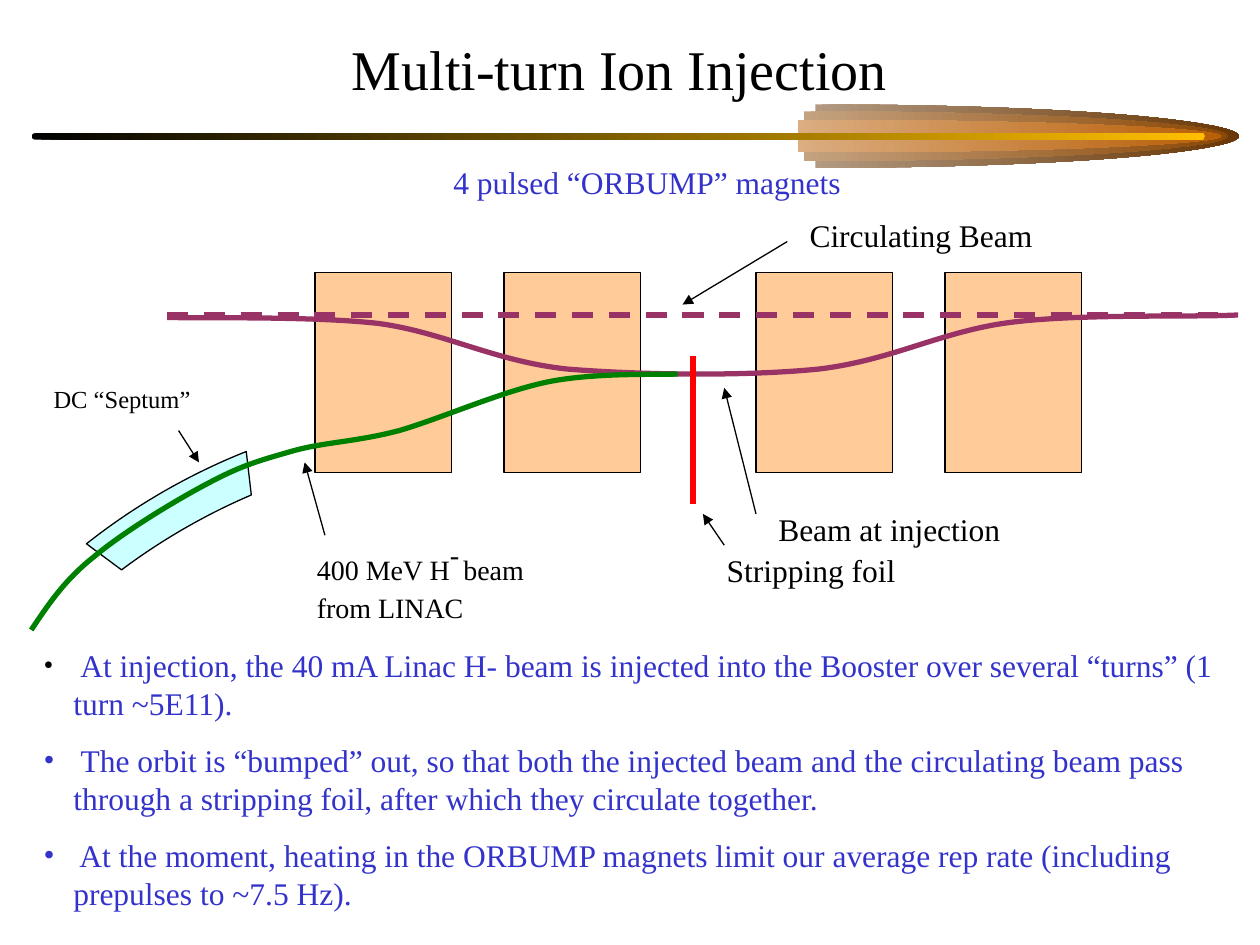
import pptx
import pptx.dml.color
import pptx.enum.dml
import pptx.enum.shapes
import pptx.enum.text
import pptx.oxml
import pptx.oxml.ns
import pptx.util
from lxml import etree

Cm, Pt = pptx.util.Cm, pptx.util.Pt
qn = pptx.oxml.ns.qn
SHAPES = pptx.enum.shapes.MSO_SHAPE
FONT = "Times New Roman"
COLORS = {
    "black": "000000", "blue": "3333CC", "magnet": "FFCC99", "septum": "CCFFFF",
    "beam": "993366", "injected": "008000", "foil": "FF0000", "gold": "FFBF00",
    "dark tip": "663300", "dark tail": "B29980", "brown tip": "894400",
    "brown tail": "C4A280", "orange tip": "B75B00", "orange tail": "DBAD80",
}
# Comet layers: left edge, half height, colour name
COMET = [(15.8, 0.64, "dark"), (15.57, 0.5, "brown"), (15.44, 0.33, "orange")]
# Each curve: start point, then two control points and an end point per segment
COMET_EDGE = [
    (0, -1), (3.05, -1), (5.87, -0.8), (7.39, -0.48), (8.92, -0.16),
    (8.92, 0.16), (7.39, 0.48), (5.87, 0.8), (3.05, 1), (0, 1),
]
BUMPED_BEAM = [
    (2.74, 3.23), (3.45, 3.25), (5.64, 3.2), (6.99, 3.35),
    (8.33, 3.53), (9.32, 4.11), (10.8, 4.27), (12.27, 4.39), (14.38, 4.42), (15.88, 4.27),
    (17.37, 4.09), (18.34, 3.51), (19.74, 3.33), (21.16, 3.15), (23.37, 3.23), (24.33, 3.18),
]
INJECTED_BEAM = [
    (13.03, 4.37), (12.6, 4.39), (11.4, 4.34), (10.46, 4.52),
    (9.53, 4.7), (8.28, 5.26), (7.42, 5.51), (6.55, 5.74), (5.92, 5.74), (5.28, 5.92),
    (4.65, 6.1), (4.27, 6.2), (3.61, 6.55), (2.92, 6.91), (1.88, 7.54), (1.27, 8.05),
    (0.66, 8.53), (0.33, 9.04), (0, 9.53),
]
# Label runs: text, size, superscript percent; then box and colour
LABELS = [
    ([("4 pulsed “ORBUMP” magnets", 18, 0)], (8.26, 0, 8.46, 1.02), "blue"),
    ([("Circulating Beam", 18, 0)], (15.44, 1.07, 5.92, 1.02), "black"),
    ([("Beam at injection", 18, 0)], (14.81, 6.99, 6.78, 1.02), "black"),
    ([("Stripping foil", 18, 0)], (13.77, 7.82, 6.78, 1.02), "black"),
    ([("DC “Septum”", 14, 0)], (0.2, 4.45, 3.38, 0.86), "black"),
    ([("400 MeV H", 16, 0), ("-", 28, 30), (" ", 16, 30), ("beam from LINAC", 16, 0)],
     (5.51, 7.42, 5.08, 2.13), "black"),
]
ARROWS = [
    (15.24, 1.7, 13.13, 2.97), (14.61, 7.19, 13.97, 4.65), (5.92, 7.62, 5.51, 6.15),
    (2.97, 5.51, 3.38, 6.15), (13.97, 7.82, 13.54, 7.19),
]
BULLETS = [
    ("black", [(" ", 16, "black"),
               ("At injection, the 40 mA Linac H- beam is injected into the Booster "
                "over several “turns” (1 turn ~5E11).", 18, "blue")]),
    ("blue", [(" The orbit is “bumped” out, so that both the injected beam and the circulating "
               "beam pass through a stripping foil, after which they circulate together.",
               18, "blue")]),
    ("blue", [(" At the moment, heating in the ORBUMP magnets limit our average rep rate "
               "(including prepulses to ~7.5 Hz).", 18, "blue")]),
]


def rgb(name):
    return pptx.dml.color.RGBColor.from_string(COLORS[name])


def set_values(target, values):
    for name, value in values.items():
        setattr(target, name, value)


def add_run(paragraph, text, size, color, raised=0):
    run = paragraph.add_run()
    run.text = text
    set_values(run.font, {"name": FONT, "size": Pt(size), "bold": False})
    run.font.color.rgb = rgb(color)
    if raised:
        run._r.get_or_add_rPr().set("baseline", str(raised * 1000))


def style_line(line, color, width):
    line.color.rgb = rgb(color)
    line.width = Pt(width)


def fill_gradient(shape, left_color, right_color):
    shape.shadow.inherit = False
    shape.line.fill.background()
    shape.fill.gradient()
    shape.fill.gradient_angle = 0
    for stop, color, position in zip(shape.fill.gradient_stops, (left_color, right_color), (0, 1)):
        stop.color.rgb = rgb(color)
        stop.position = position


def add_shape(slide, kind, left, top, width, height, fill):
    shape = slide.shapes.add_shape(kind, Cm(left), Cm(top), Cm(width), Cm(height))
    shape.shadow.inherit = False
    shape.fill.solid()
    shape.fill.fore_color.rgb = rgb(fill)
    style_line(shape.line, "black", 0.75)
    return shape


def add_curve(slide, left, top, points, close=False):
    """Freeform whose segments are cubic curves, three points each."""
    places = [(Cm(left + x), Cm(top + y)) for x, y in points]
    builder = slide.shapes.build_freeform(*places[0])
    builder.add_line_segments(places[1:], close=close)
    shape = builder.convert_to_shape()
    shape.shadow.inherit = False
    segments = list(shape._element.iter(qn("a:lnTo")))[:len(points) - 1]
    for start in range(0, len(segments), 3):
        curve = etree.Element(qn("a:cubicBezTo"))
        segments[start].addprevious(curve)
        for segment in segments[start:start + 3]:
            curve.append(segment[0])
            segment.getparent().remove(segment)
    return shape


def add_line(slide, left, top, ends, color, width, arrow=False):
    x1, y1, x2, y2 = ends
    connector = slide.shapes.add_connector(
        pptx.enum.shapes.MSO_CONNECTOR.STRAIGHT,
        Cm(left + x1), Cm(top + y1), Cm(left + x2), Cm(top + y2))
    style_line(connector.line, color, width)
    if arrow:
        head = etree.SubElement(connector.line._get_or_add_ln(), qn("a:tailEnd"))
        head.set("type", "triangle")
    etree.SubElement(connector._element.spPr, qn("a:effectLst"))
    return connector


def add_text_box(slide, left, top, width, height):
    box = slide.shapes.add_textbox(Cm(left), Cm(top), Cm(width), Cm(height))
    box.text_frame.word_wrap = True
    return box.text_frame


def add_title(slide, left, top, width, height):
    title = slide.shapes.title
    set_values(title, {"left": Cm(left), "top": Cm(top), "width": Cm(width), "height": Cm(height)})
    title.text_frame.vertical_anchor = pptx.enum.text.MSO_ANCHOR.MIDDLE
    paragraph = title.text_frame.paragraphs[0]
    paragraph.alignment = pptx.enum.text.PP_ALIGN.CENTER
    add_run(paragraph, "Multi-turn Ion Injection", 32, "black")


def add_comet(slide, left, top, height):
    middle = height / 2
    for start, radius, name in COMET:
        points = [(start + x, middle + radius * y) for x, y in COMET_EDGE]
        layer = add_curve(slide, left, top, points, close=True)
        fill_gradient(layer, f"{name} tail", f"{name} tip")
    bar = slide.shapes.add_shape(SHAPES.ROUNDED_RECTANGLE, Cm(left), Cm(top + middle - 0.06),
                                 Cm(23.65), Cm(0.13))
    bar.adjustments[0] = 0.5
    fill_gradient(bar, "black", "gold")


def add_diagram(slide, left, top):
    # Septum and magnets
    septum = add_shape(slide, SHAPES.BLOCK_ARC, left - 2.74, top + 6.15, 15.24, 8.89, "septum")
    septum.rotation = 330
    for index, value in enumerate((147.999, 176.001, 0.096)):
        septum.adjustments[index] = value
    for pair in range(2):
        for place in range(2):
            add_shape(slide, SHAPES.RECTANGLE, left + 5.72 + 8.89 * pair + 3.81 * place,
                      top + 2.33, 2.75, 4.02, "magnet")
    # Beams and foil
    for points, color in ((BUMPED_BEAM, "beam"), (INJECTED_BEAM, "injected")):
        beam = add_curve(slide, left, top, points)
        beam.fill.background()
        style_line(beam.line, color, 3)
    add_line(slide, left, top, (13.34, 4.01, 13.34, 6.99), "foil", 3)
    orbit = add_line(slide, left, top, (2.74, 3.18, 23.93, 3.18), "beam", 3)
    orbit.line.dash_style = pptx.enum.dml.MSO_LINE.DASH
    # Labels and their arrows
    for runs, (x, y, width, height), color in LABELS:
        paragraph = add_text_box(slide, left + x, top + y, width, height).paragraphs[0]
        for text, size, raised in runs:
            add_run(paragraph, text, size, color, raised)
    for ends in ARROWS:
        add_line(slide, left, top, ends, "black", 0.75, arrow=True)


def add_bullets(slide, left, top, width, height):
    frame = add_text_box(slide, left, top, width, height)
    for index, (bullet_color, runs) in enumerate(BULLETS):
        paragraph = frame.add_paragraph() if index else frame.paragraphs[0]
        properties = paragraph._p.get_or_add_pPr()
        set_values(paragraph, {"space_before": Pt(11.2 if index else 0)})
        properties.set("marL", str(Cm(0.6)))
        properties.set("indent", str(-Cm(0.6)))
        color = etree.SubElement(properties, qn("a:buClr"))
        etree.SubElement(color, qn("a:srgbClr")).set("val", COLORS[bullet_color])
        etree.SubElement(properties, qn("a:buFont")).set("typeface", FONT)
        etree.SubElement(properties, qn("a:buChar")).set("char", "•")
        for text, size, text_color in runs:
            add_run(paragraph, text, size, text_color)


presentation = pptx.Presentation()
set_values(presentation, {"slide_width": Cm(25.4), "slide_height": Cm(19.05)})
main_slide = presentation.slides.add_slide(presentation.slide_layouts[5])
add_title(main_slide, 1.7, 0.43, 21.59, 1.9)
add_comet(main_slide, 0.64, 2.11, 1.27)
add_diagram(main_slide, 0.63, 3.17)
add_bullets(main_slide, 0.63, 12.9, 24.13, 5.64)
presentation.save("out.pptx")
